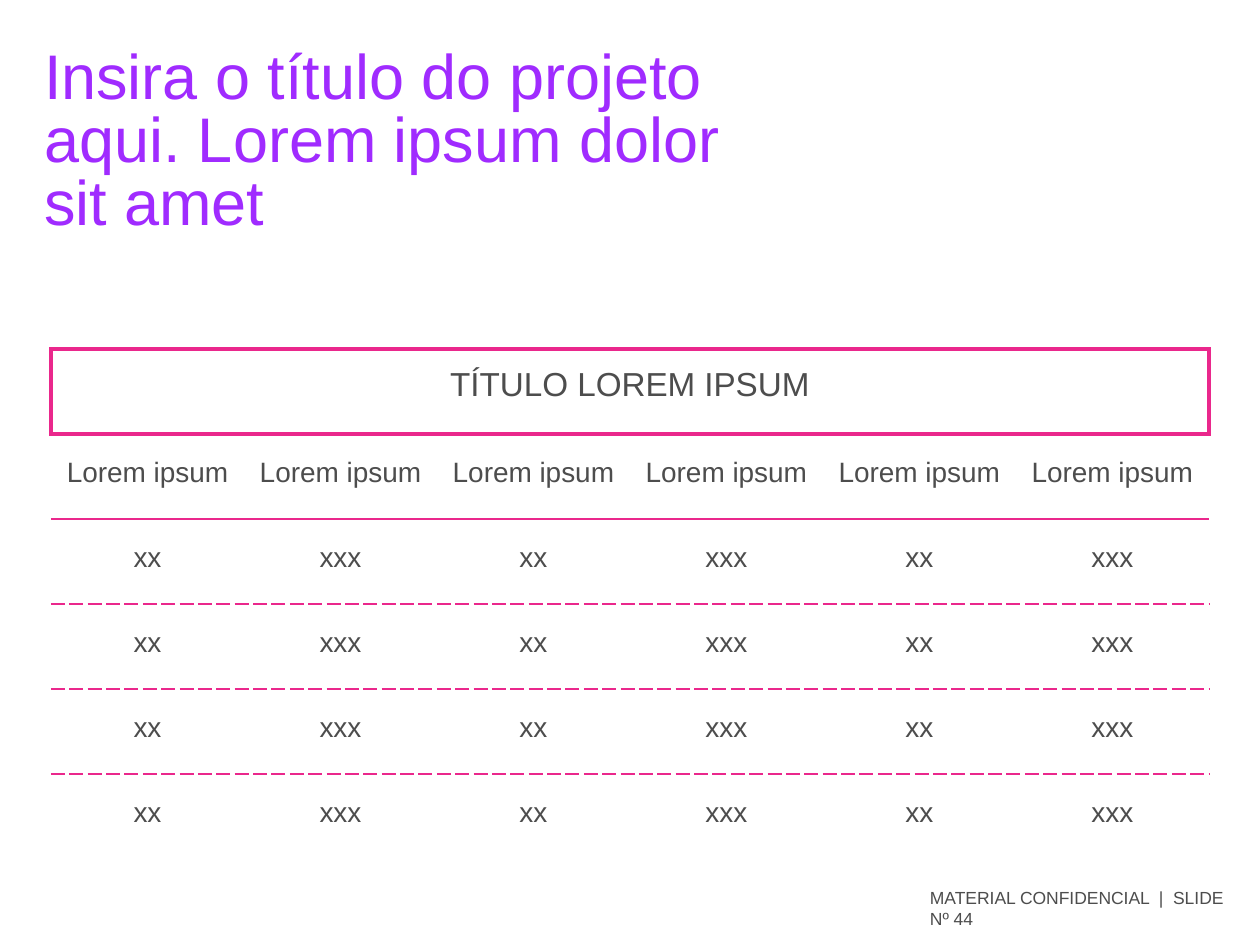
from dataclasses import dataclass
from typing import Optional

import lxml.etree
import pptx
import pptx.dml.color
import pptx.enum.text
import pptx.oxml.ns
import pptx.util

PURPLE = pptx.dml.color.RGBColor(0xA0, 0x2B, 0xFF)
PINK = pptx.dml.color.RGBColor(0xEA, 0x28, 0x8C)
GREY = pptx.dml.color.RGBColor(0x4D, 0x4D, 0x4D)
WHITE = pptx.dml.color.RGBColor(0xFF, 0xFF, 0xFF)

FONT = "Arial"
PX_PER_INCH = 126
COLUMN_COUNT = 6
COLUMN_WIDTH = 193
ROW_HEIGHT = 85


@dataclass(frozen=True)
class Border:
    color: pptx.dml.color.RGBColor
    width: float
    dash: str = "solid"


@dataclass(frozen=True)
class Row:
    texts: list[str]
    size: int
    top: Border
    bottom: Border
    side: Optional[Border] = None


def px(length: int) -> pptx.util.Emu:
    return pptx.util.Emu(round(length * pptx.util.Inches(1) / PX_PER_INCH))


def format_paragraph(paragraph, size: int, color, line_spacing: Optional[int] = None) -> None:
    if line_spacing:
        paragraph.line_spacing = pptx.util.Pt(line_spacing)
    for run in paragraph.runs:
        run.font.name = FONT
        run.font.size = pptx.util.Pt(size)
        run.font.color.rgb = color


def fit_frame(text_frame) -> None:
    text_frame.margin_left = text_frame.margin_right = 0
    text_frame.margin_top = text_frame.margin_bottom = 0
    text_frame.word_wrap = True
    text_frame.auto_size = pptx.enum.text.MSO_AUTO_SIZE.NONE
    text_frame.vertical_anchor = pptx.enum.text.MSO_ANCHOR.TOP


def add_border(cell_properties, tag: str, border: Optional[Border]) -> None:
    qn = pptx.oxml.ns.qn
    line = lxml.etree.SubElement(cell_properties, qn(tag))
    if border is None:
        line.set("w", "0")
        lxml.etree.SubElement(line, qn("a:noFill"))
        return
    line.set("w", str(pptx.util.Pt(border.width)))
    fill = lxml.etree.SubElement(line, qn("a:solidFill"))
    lxml.etree.SubElement(fill, qn("a:srgbClr")).set("val", str(border.color))
    lxml.etree.SubElement(line, qn("a:prstDash")).set("val", border.dash)


def format_cell(cell, text: str, row: Row) -> None:
    cell.text_frame.text = text
    cell.vertical_anchor = pptx.enum.text.MSO_ANCHOR.MIDDLE
    cell.margin_left = cell.margin_right = px(13)
    cell.margin_top = cell.margin_bottom = px(9)
    paragraph = cell.text_frame.paragraphs[0]
    paragraph.alignment = pptx.enum.text.PP_ALIGN.CENTER
    format_paragraph(paragraph, row.size, GREY, 14)
    cell_properties = cell._tc.get_or_add_tcPr()
    sides = {"a:lnL": row.side, "a:lnR": row.side, "a:lnT": row.top, "a:lnB": row.bottom}
    for tag, border in sides.items():
        add_border(cell_properties, tag, border)
    cell.fill.background()


def add_grid(slide, rows: list[Row]) -> None:
    shape = slide.shapes.add_table(
        len(rows), COLUMN_COUNT, px(51), px(349),
        px(COLUMN_WIDTH * COLUMN_COUNT), px(ROW_HEIGHT * len(rows)),
    )
    table = shape.table
    table.first_row = False
    table.horz_banding = False
    for column in table.columns:
        column.width = px(COLUMN_WIDTH)
    for row_index, row in enumerate(rows):
        table.rows[row_index].height = px(ROW_HEIGHT)
        for column_index, text in enumerate(row.texts):
            format_cell(table.cell(row_index, column_index), text, row)
    table.cell(0, 0).merge(table.cell(0, COLUMN_COUNT - 1))


def add_title(slide, text: str) -> None:
    title = slide.shapes.title
    title.left, title.top, title.width, title.height = px(44), px(49), px(712), px(263)
    title.text_frame.text = text
    fit_frame(title.text_frame)
    paragraph = title.text_frame.paragraphs[0]
    paragraph.alignment = pptx.enum.text.PP_ALIGN.LEFT
    format_paragraph(paragraph, 36, PURPLE, 36)


def add_footer(slide, text: str) -> None:
    footer = slide.shapes.add_textbox(px(930), px(887), px(305), px(32))
    footer.text_frame.text = text
    fit_frame(footer.text_frame)
    format_paragraph(footer.text_frame.paragraphs[0], 10, GREY)


def main() -> None:
    presentation = pptx.Presentation()
    presentation.slide_width = pptx.util.Inches(10)
    presentation.slide_height = pptx.util.Inches(7.5)
    slide = presentation.slides.add_slide(presentation.slide_layouts[5])

    frame = Border(PINK, 2.25)
    rule = Border(PINK, 1)
    dashed = Border(PINK, 1, "dash")
    hidden = Border(WHITE, 1)
    values = ["xx", "xxx"] * (COLUMN_COUNT // 2)
    rows = [
        Row(["TÍTULO LOREM IPSUM"] + [""] * (COLUMN_COUNT - 1), 19, frame, frame, frame),
        Row(["Lorem ipsum"] * COLUMN_COUNT, 16, frame, rule),
        Row(values, 16, rule, dashed),
        Row(values, 16, dashed, dashed),
        Row(values, 16, dashed, dashed),
        Row(values, 16, dashed, hidden),
    ]
    add_grid(slide, rows)
    add_title(slide, "Insira o título do projeto aqui. Lorem ipsum dolor sit amet")
    add_footer(slide, "MATERIAL CONFIDENCIAL  |  SLIDE Nº 44")
    presentation.save("out.pptx")


if __name__ == "__main__":
    main()
